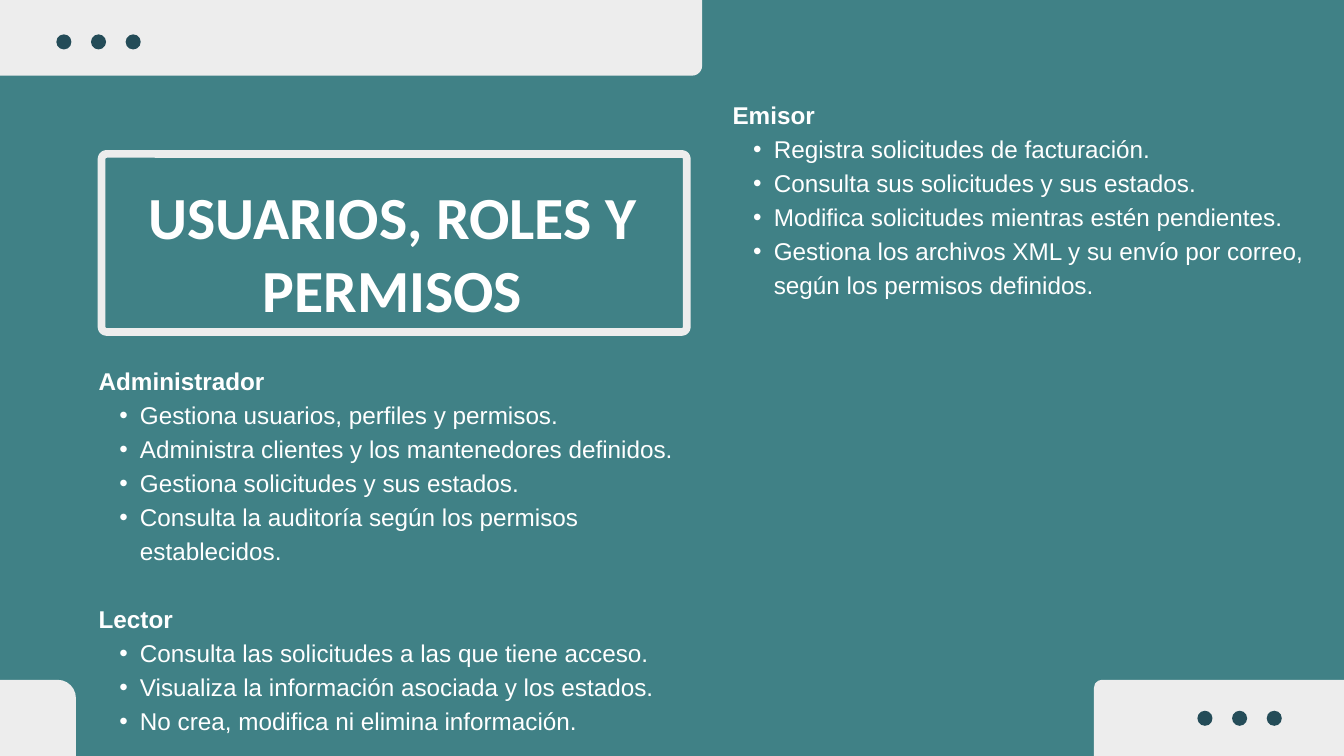
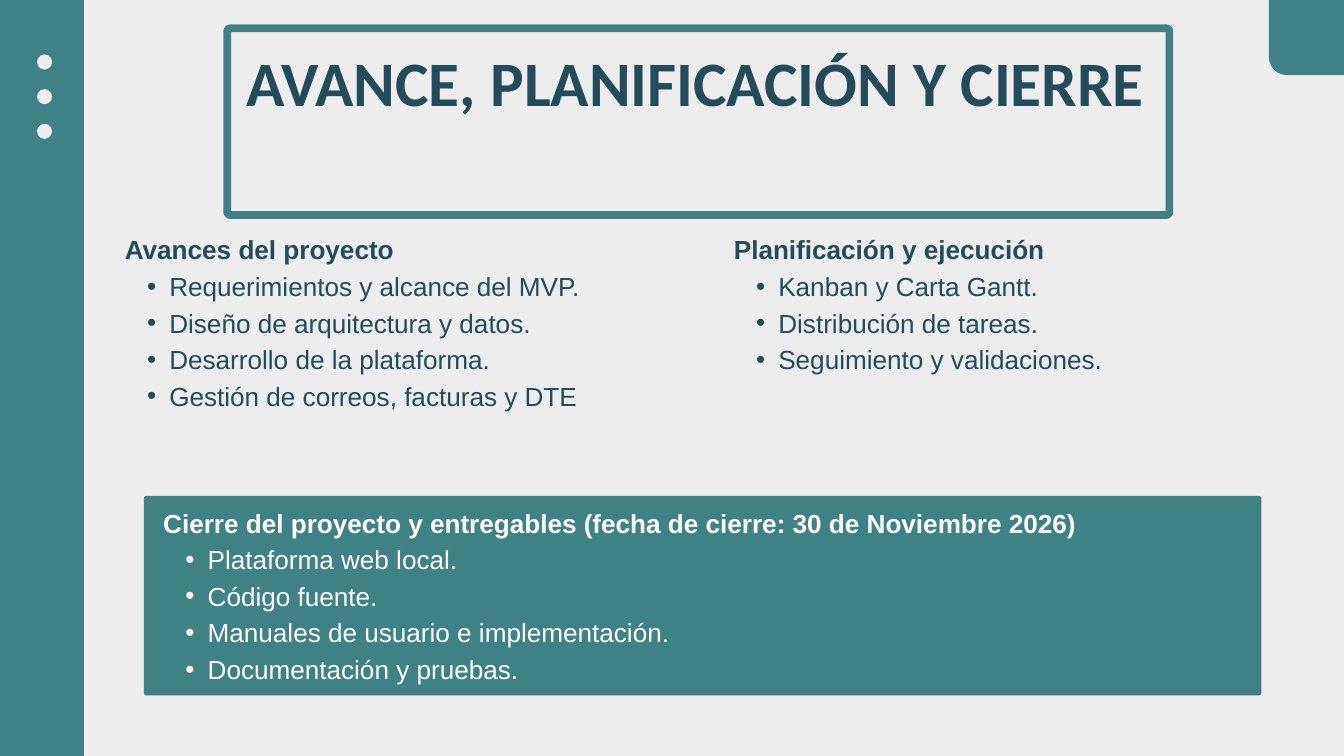
"""Builds two slides on user roles and on project progress and closing."""
from pptx import Presentation
from pptx.dml.color import RGBColor
from pptx.enum.shapes import MSO_SHAPE
from pptx.enum.text import MSO_ANCHOR, MSO_AUTO_SIZE, PP_ALIGN
from pptx.oxml.ns import qn
from pptx.util import Cm, Pt
from lxml.etree import SubElement

TEAL = RGBColor(0x40, 0x81, 0x86)
NAVY = RGBColor(0x24, 0x4C, 0x58)
PALE = RGBColor(0xED, 0xED, 0xED)
WHITE = RGBColor(0xFF, 0xFF, 0xFF)

TITLE_FONT = "Calibri"
BODY_FONT = "Arial"
TITLE_ONLY = 5
DOT_SIZE = 0.57
DOT_STEP = 1.31
TAB_SIZE = (3.63, 3.91)
TAB_RADIUS = 0.69


def write(para, text, *, font, size, color, pitch, bold=False, align=PP_ALIGN.LEFT,
          bullet=False, before=0):
    """Fill a paragraph with one formatted span."""
    para.alignment = align
    para.line_spacing = Pt(round(size * pitch, 1))
    if before:
        para.space_before = Pt(before)
    if bullet:
        para.level = 1
        properties = para._p.get_or_add_pPr()
        properties.set("marL", str(Cm(size * 0.06)))
        properties.set("indent", str(-Cm(size * 0.03)))
        SubElement(properties, qn("a:buFont")).set("typeface", BODY_FONT)
        SubElement(properties, qn("a:buChar")).set("char", "•")
    span = para.add_run()
    span.text = text
    span.font.name = font
    span.font.size = Pt(size)
    span.font.bold = bold
    span.font.color.rgb = color


class Page:
    """A slide with its background, text colour and body size."""

    def __init__(self, deck, background, ink, body_size):
        self.slide = deck.slides.add_slide(deck.slide_layouts[TITLE_ONLY])
        self.slide.background.fill.solid()
        self.slide.background.fill.fore_color.rgb = background
        self.ink = ink
        self.body_size = body_size

    def prepare(self, frame):
        """Give a text frame its wrapping, anchor and zero margins."""
        frame.word_wrap = True
        frame.auto_size = MSO_AUTO_SIZE.NONE
        frame.vertical_anchor = MSO_ANCHOR.TOP
        frame.margin_left = frame.margin_right = 0
        frame.margin_top = frame.margin_bottom = 0
        return frame

    def title(self, text, left, top, width, height, size):
        """Place and format the title."""
        box = self.slide.shapes.title
        box.left, box.top, box.width, box.height = map(Cm, (left, top, width, height))
        frame = self.prepare(box.text_frame)
        write(frame.paragraphs[0], text, font=TITLE_FONT, size=size, color=self.ink,
              pitch=1.23, bold=True, align=PP_ALIGN.CENTER)

    def panel(self, left, top, width, height, radius=0, fill=None, line=None,
              kind=MSO_SHAPE.ROUNDED_RECTANGLE):
        """Draw a filled or outlined shape."""
        shape = self.slide.shapes.add_shape(kind, *map(Cm, (left, top, width, height)))
        shape.shadow.inherit = False
        if kind == MSO_SHAPE.ROUNDED_RECTANGLE:
            shape.adjustments[0] = radius / min(width, height)
        if fill is None:
            shape.fill.background()
        else:
            shape.fill.solid()
            shape.fill.fore_color.rgb = fill
        if line is None:
            shape.line.fill.background()
        else:
            shape.line.color.rgb = line
            shape.line.width = Pt(8.25)

    def dots(self, left, top, color, vertical=False):
        """Draw three evenly spaced dots."""
        for index in range(3):
            shift = index * DOT_STEP
            x, y = (left, top + shift) if vertical else (left + shift, top)
            self.panel(x, y, DOT_SIZE, DOT_SIZE, fill=color, kind=MSO_SHAPE.OVAL)

    def sections(self, left, top, width, height, groups, color=None):
        """Write headings, each followed by its bulleted items."""
        box = self.slide.shapes.add_textbox(*map(Cm, (left, top, width, height)))
        frame = self.prepare(box.text_frame)
        style = dict(font=BODY_FONT, size=self.body_size, color=color or self.ink, pitch=1.4)
        for index, (heading, items) in enumerate(groups.items()):
            para = frame.add_paragraph() if index else frame.paragraphs[0]
            gap = self.body_size * 1.4 if index else 0
            write(para, heading, bold=True, before=gap, **style)
            for item in items:
                write(frame.add_paragraph(), item, bullet=True, **style)


def build_roles(deck):
    """Build the slide on users, roles and permissions."""
    page = Page(deck, TEAL, WHITE, 26)
    page.panel(3.84, 5.82, 22.12, 6.73, 0.18, line=PALE)
    page.title("USUARIOS, ROLES Y PERMISOS", 3.78, 6.73, 22.12, 5.49, 64)
    page.panel(-6.91, -5.72, 33.45, 8.58, 0.38, fill=PALE)
    page.panel(-0.76, 25.7, *TAB_SIZE, TAB_RADIUS, fill=PALE)
    page.panel(41.35, 25.7, 11.23, 6.76, 0.3, fill=PALE)
    page.dots(2.13, 1.3, NAVY)
    page.dots(45.26, 26.87, NAVY)
    page.sections(3.73, 13.67, 22.25, 13.97, {
        "Administrador": [
            "Gestiona usuarios, perfiles y permisos.",
            "Administra clientes y los mantenedores definidos.",
            "Gestiona solicitudes y sus estados.",
            "Consulta la auditoría según los permisos establecidos.",
        ],
        "Lector": [
            "Consulta las solicitudes a las que tiene acceso.",
            "Visualiza la información asociada y los estados.",
            "No crea, modifica ni elimina información.",
        ],
    })
    page.sections(27.69, 3.61, 22.25, 8.89, {
        "Emisor": [
            "Registra solicitudes de facturación.",
            "Consulta sus solicitudes y sus estados.",
            "Modifica solicitudes mientras estén pendientes.",
            "Gestiona los archivos XML y su envío por correo, según los permisos definidos.",
        ],
    })


def build_closing(deck):
    """Build the slide on progress, planning and closing."""
    page = Page(deck, PALE, NAVY, 28)
    page.panel(8.59, 1.07, 35.61, 7.06, 0.11, line=TEAL)
    page.title("AVANCE, PLANIFICACIÓN Y CIERRE", 8.74, 1.57, 35.1, 5.87, 67.8)
    page.panel(-5.41, -2.44, 8.58, 33.45, fill=TEAL, kind=MSO_SHAPE.RECTANGLE)
    page.panel(47.96, -1.07, *TAB_SIZE, TAB_RADIUS, fill=TEAL)
    page.dots(1.4, 2.06, PALE, vertical=True)
    page.sections(4.72, 8.64, 22.5, 6.88, {
        "Avances del proyecto": [
            "Requerimientos y alcance del MVP.",
            "Diseño de arquitectura y datos.",
            "Desarrollo de la plataforma.",
            "Gestión de correos, facturas y DTE",
        ],
    })
    page.sections(27.74, 8.64, 22.94, 5.51, {
        "Planificación y ejecución": [
            "Kanban y Carta Gantt.",
            "Distribución de tareas.",
            "Seguimiento y validaciones.",
        ],
    })
    page.panel(5.44, 18.75, 42.24, 7.54, 0.1, fill=TEAL)
    page.sections(6.17, 18.97, 44.4, 8.13, {
        "Cierre del proyecto y entregables (fecha de cierre: 30 de Noviembre 2026)": [
            "Plataforma web local.",
            "Código fuente.",
            "Manuales de usuario e implementación.",
            "Documentación y pruebas.",
        ],
    }, color=WHITE)


def main():
    """Create and save the deck."""
    deck = Presentation()
    deck.slide_width, deck.slide_height = Cm(50.8), Cm(28.58)
    build_roles(deck)
    build_closing(deck)
    deck.save("out.pptx")


if __name__ == "__main__":
    main()
